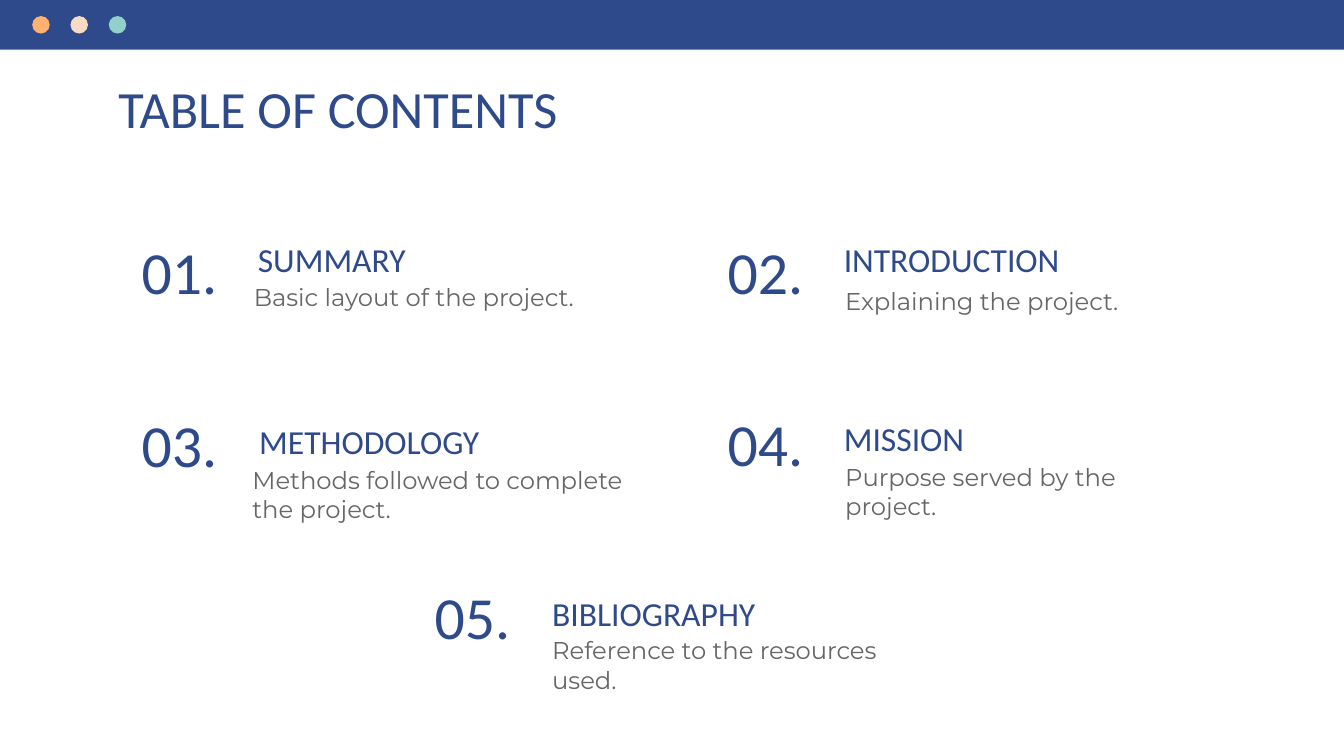
from pptx import Presentation
from pptx import util as u
from pptx.dml.color import RGBColor
from pptx.enum import shapes, text

NAVY = RGBColor(0x2F, 0x4A, 0x8A)
GREY = RGBColor(0x66, 0x66, 0x66)
ORANGE = RGBColor(0xFF, 0xB1, 0x72)
CREAM = RGBColor(0xF8, 0xDB, 0xC4)
TEAL = RGBColor(0x90, 0xD1, 0xCB)

SLIDE_WIDTH = 10
SLIDE_HEIGHT = SLIDE_WIDTH * 9 / 16
LEFT_COLUMN, RIGHT_COLUMN, MIDDLE_COLUMN = 0.84, 5.2, 3.02
NUMBER_WIDTH, NUMBER_HEIGHT = 0.99, 0.64
HEADING_HEIGHT = 0.51

# number, heading, description, (left, top), heading (dx, dy, width), description (dx, dy, width, height)
CONTENTS = [
    ("01.", "SUMMARY", "Basic layout of the project.",
     (LEFT_COLUMN, 1.74), (0.98, -0.06, 2.92), (0.95, 0.26, 3.01, 0.64)),
    ("03.", "METHODOLOGY", "Methods followed to complete the project.",
     (LEFT_COLUMN, 3.03), (0.99, 0, 2.92), (0.94, 0.33, 2.98, 0.89)),
    ("02.", "INTRODUCTION", "Explaining the project.",
     (RIGHT_COLUMN, 1.74), (0.98, -0.06, 2.98), (0.99, 0.29, 2.49, 0.64)),
    ("04.", "MISSION", "Purpose served by the project.",
     (RIGHT_COLUMN, 3.02), (0.98, -0.01, 2.98), (0.99, 0.32, 2.49, 0.64)),
    ("05.", "BIBLIOGRAPHY", "Reference to the resources used.",
     (MIDDLE_COLUMN, 4.31), (0.99, 0, 2.98), (0.99, 0.32, 2.68, 0.64)),
]


def write(holder, words, size, color=NAVY, font="Calibri",
          align=text.PP_ALIGN.LEFT, anchor=text.MSO_ANCHOR.TOP):
    """Put one formatted paragraph into a text holder and return the paragraph."""
    frame = holder.text_frame
    frame.text = words
    frame.word_wrap = True
    frame.auto_size = text.MSO_AUTO_SIZE.NONE
    frame.vertical_anchor = anchor
    frame.margin_left = frame.margin_right = u.Inches(0.1)
    frame.margin_top = frame.margin_bottom = u.Inches(0.1)
    paragraph = frame.paragraphs[0]
    paragraph.alignment = align
    run_font = paragraph.runs[0].font
    run_font.name, run_font.size = font, u.Pt(size)
    run_font.color.rgb = color
    return paragraph


def add_text(slide, left, top, width, height, words, size, **style):
    """Add a text box and return its paragraph."""
    box = slide.shapes.add_textbox(*map(u.Inches, (left, top, width, height)))
    return write(box, words, size, **style)


def add_filled(slide, kind, left, top, width, height, color):
    """Add a flat preset shape without outline."""
    shape = slide.shapes.add_shape(kind, *map(u.Inches, (left, top, width, height)))
    shape.shadow.inherit = False
    shape.fill.solid()
    shape.fill.fore_color.rgb = color
    shape.line.fill.background()


def add_title(slide, left, top, width, height):
    """Move and format the title placeholder."""
    title = slide.shapes.title
    title.left, title.top = u.Inches(left), u.Inches(top)
    title.width, title.height = u.Inches(width), u.Inches(height)
    write(title, "TABLE OF CONTENTS", 28)


def add_window_bar(slide, left, top, width, height):
    """Draw the top bar with its three round buttons."""
    add_filled(slide, shapes.MSO_SHAPE.RECTANGLE, left, top, width, height, NAVY)
    diameter, pitch = 0.13, 0.57 / 2
    for i, color in enumerate((ORANGE, CREAM, TEAL)):
        add_filled(slide, shapes.MSO_SHAPE.OVAL, left + 0.24 + i * pitch,
                   top + 0.12, diameter, diameter, color)


def add_entry(slide, left, top, number, heading, description, heading_box, description_box):
    """Place one numbered entry with its heading and description."""
    heading_dx, heading_dy, heading_width = heading_box
    description_dx, description_dy, *description_size = description_box
    add_text(slide, left + heading_dx, top + heading_dy, heading_width,
             HEADING_HEIGHT, heading, 18)
    add_text(slide, left, top, NUMBER_WIDTH, NUMBER_HEIGHT, number, 32,
             align=text.PP_ALIGN.CENTER, anchor=text.MSO_ANCHOR.BOTTOM)
    paragraph = add_text(slide, left + description_dx, top + description_dy,
                         *description_size, description, 13,
                         color=GREY, font="Montserrat")
    paragraph.space_after = u.Pt(12)


def main():
    """Build the contents slide and save it."""
    deck = Presentation()
    deck.slide_width, deck.slide_height = u.Inches(SLIDE_WIDTH), u.Inches(SLIDE_HEIGHT)
    slide = deck.slides.add_slide(deck.slide_layouts.get_by_name("Title Only"))
    add_title(slide, 0.78, 0.47, 8.44, 0.51)
    for number, heading, description, (left, top), heading_box, description_box in CONTENTS:
        add_entry(slide, left, top, number, heading, description,
                  heading_box, description_box)
    add_window_bar(slide, 0, 0, SLIDE_WIDTH, 0.37)
    deck.save("out.pptx")


if __name__ == "__main__":
    main()
